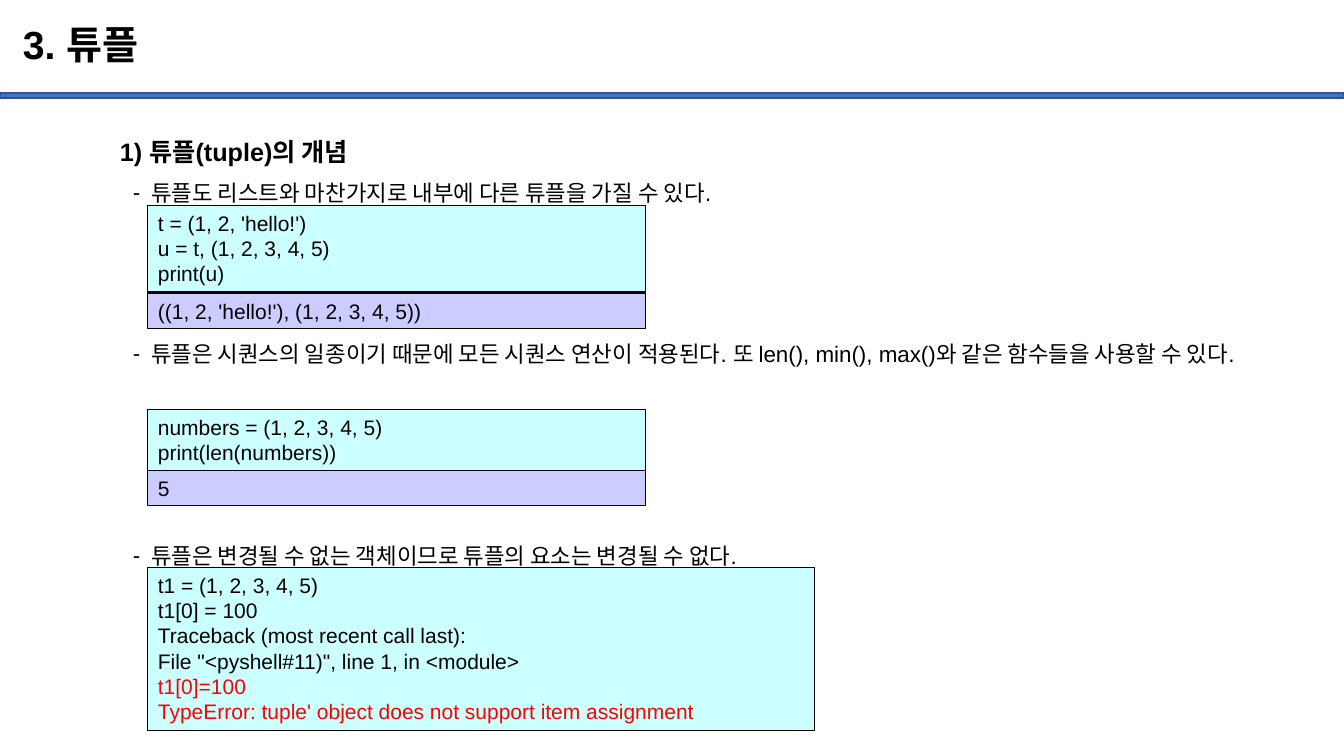
from dataclasses import dataclass

from pptx import Presentation
from pptx import util as u
from pptx.dml.color import RGBColor
from pptx.enum import shapes, text
from pptx.oxml import parse_xml
from pptx.oxml.ns import nsdecls


@dataclass(frozen=True)
class Theme:
    font: str = "Arial"
    ink: str = "000000"
    error: str = "FF0000"
    bar: str = "4472C4"
    edge: str = "325491"
    code: str = "CCFFFF"
    result: str = "CCCCFF"
    title: int = 28
    head: int = 18
    note: int = 16
    mono: int = 15


@dataclass(frozen=True)
class Area:
    left: float
    top: float
    width: float
    height: float

    def cm(self) -> list:
        return [u.Cm(v) for v in (self.left, self.top, self.width, self.height)]


@dataclass(frozen=True)
class Note:
    top: float
    height: float
    point: str
    head: str = ""


@dataclass(frozen=True)
class Panel:
    top: float
    height: float
    fill: str
    lines: str
    width: float = 12.55
    errors: int = 0  # how many closing lines report the error


THEME = Theme()
PAGE = (33.87, 19.05)
NOTE_X, NOTE_W = 2.77, 28.7
PANEL_X = 3.73

NOTES = [
    Note(2.92, 2.3, "튜플도 리스트와 마찬가지로 내부에 다른 튜플을 가질 수 있다.",
         "1) 튜플(tuple)의 개념"),
    Note(8.12, 2.3, "튜플은 시퀀스의 일종이기 때문에 모든 시퀀스 연산이 적용된다. "
         "또 len(), min(), max()와 같은 함수들을 사용할 수 있다."),
    Note(13.2, 1.3, "튜플은 변경될 수 없는 객체이므로 튜플의 요소는 변경될 수 없다."),
]

PANELS = [
    Panel(5.18, 2.18, THEME.code, "t = (1, 2, 'hello!')\nu = t, (1, 2, 3, 4, 5)\nprint(u)"),
    Panel(7.39, 0.89, THEME.result, "((1, 2, 'hello!'), (1, 2, 3, 4, 5))"),
    Panel(10.31, 1.55, THEME.code, "numbers = (1, 2, 3, 4, 5)\nprint(len(numbers))"),
    Panel(11.86, 0.89, THEME.result, "5"),
    Panel(14.3, 4.11, THEME.code,
          "t1 = (1, 2, 3, 4, 5)\nt1[0] = 100\nTraceback (most recent call last):\n"
          "File \"<pyshell#11)\", line 1, in <module>\nt1[0]=100\n"
          "TypeError: tuple' object does not support item assignment",
          width=16.79, errors=2),
]


def style(para, size: int, bold: bool = False, color: str = THEME.ink) -> None:
    para.alignment = text.PP_ALIGN.LEFT
    for run in para.runs:
        run.font.name = THEME.font
        run.font.size = u.Pt(size)
        run.font.bold = bold
        run.font.color.rgb = RGBColor.from_string(color)


def dash(para) -> None:
    """Give the paragraph a hanging dash bullet."""
    props = para._p.get_or_add_pPr()
    props.set("marL", str(u.Cm(0.79)))
    props.set("indent", str(u.Cm(-0.46)))
    props.append(parse_xml(f'<a:buFont {nsdecls("a")} typeface="{THEME.font}"/>'))
    props.append(parse_xml(f'<a:buChar {nsdecls("a")} char="-"/>'))


def add_rect(slide, area: Area, fill: str, edge: str, width: float):
    rect = slide.shapes.add_shape(shapes.MSO_SHAPE.RECTANGLE, *area.cm())
    rect.shadow.inherit = False
    rect.fill.solid()
    rect.fill.fore_color.rgb = RGBColor.from_string(fill)
    rect.line.color.rgb = RGBColor.from_string(edge)
    rect.line.width = u.Pt(width)
    return rect


def add_text(slide, area: Area, words: str):
    frame = slide.shapes.add_textbox(*area.cm()).text_frame
    frame.word_wrap = True
    frame.text = words
    return frame


def add_title(slide, words: str) -> None:
    frame = add_text(slide, Area(0.33, 0.25, 29.21, 1.88), words)
    frame.vertical_anchor = text.MSO_ANCHOR.MIDDLE
    frame.paragraphs[0].line_spacing = 0.9
    style(frame.paragraphs[0], THEME.title, bold=True)


def add_note(slide, note: Note) -> None:
    words = "\n".join(filter(None, (note.head, note.point)))
    frame = add_text(slide, Area(NOTE_X, note.top, NOTE_W, note.height), words)
    for para in frame.paragraphs:
        para.line_spacing = 1.5
    if note.head:
        style(frame.paragraphs[0], THEME.head, bold=True)
    point = frame.paragraphs[-1]
    style(point, THEME.note)
    dash(point)


def add_panel(slide, panel: Panel) -> None:
    area = Area(PANEL_X, panel.top, panel.width, panel.height)
    frame = add_rect(slide, area, panel.fill, THEME.ink, 0.75).text_frame
    frame.word_wrap = True
    frame.vertical_anchor = text.MSO_ANCHOR.TOP
    frame.text = panel.lines
    first = len(frame.paragraphs) - panel.errors
    for i, para in enumerate(frame.paragraphs):
        style(para, THEME.mono, color=THEME.ink if i < first else THEME.error)


def main() -> None:
    deck = Presentation()
    deck.slide_width, deck.slide_height = map(u.Cm, PAGE)
    slide = deck.slides.add_slide(deck.slide_layouts[6])
    add_rect(slide, Area(0, 2.34, PAGE[0], 0.13), THEME.bar, THEME.edge, 1)
    add_title(slide, "3. 튜플")
    for note in NOTES:
        add_note(slide, note)
    for panel in PANELS:
        add_panel(slide, panel)
    deck.save("out.pptx")


if __name__ == "__main__":
    main()
